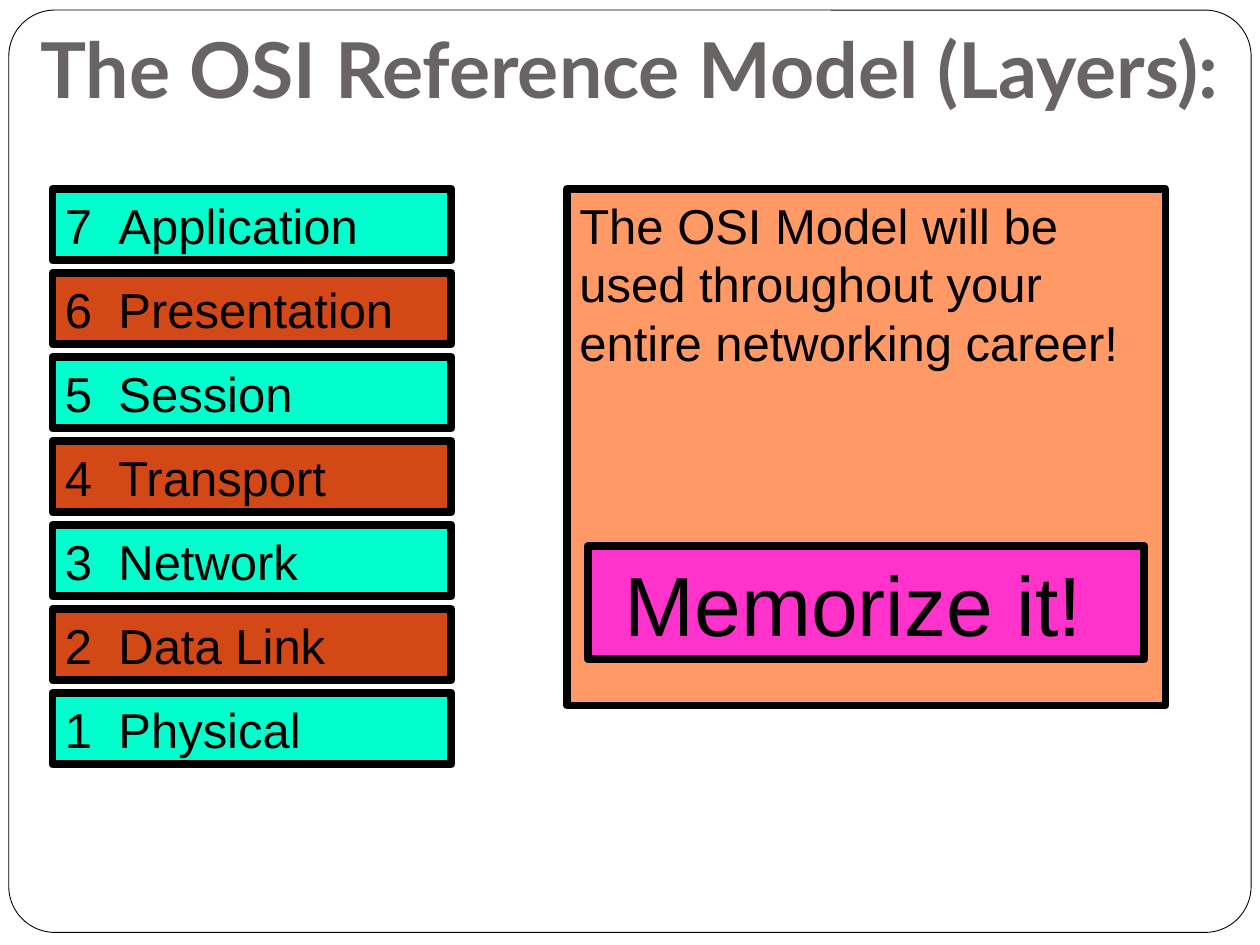
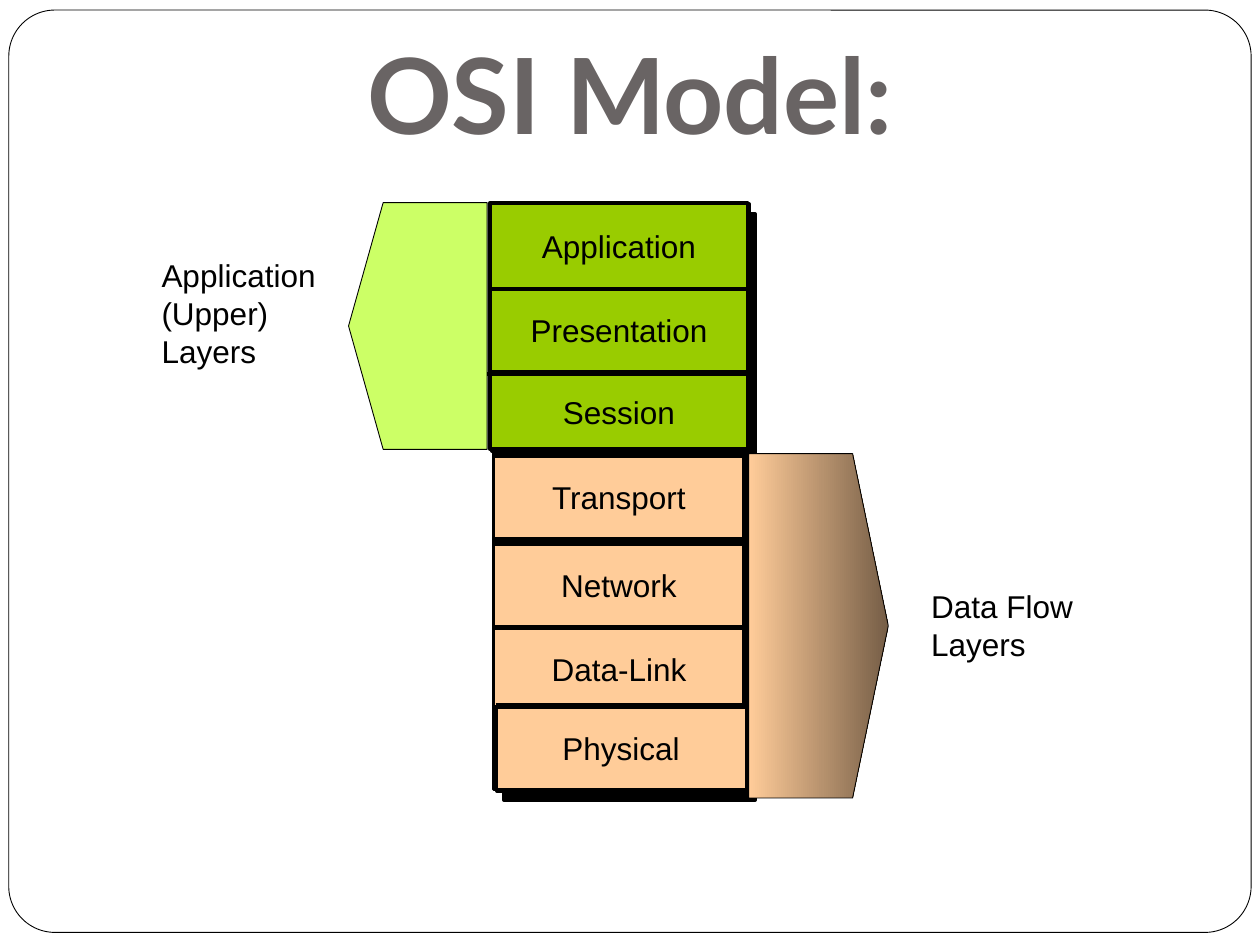
"""Build two slides on the layers of the OSI reference model."""
from dataclasses import dataclass

from lxml import etree
from pptx import Presentation
from pptx.dml.color import RGBColor
from pptx.enum.shapes import MSO_CONNECTOR, MSO_SHAPE
from pptx.enum.text import MSO_ANCHOR, PP_ALIGN
from pptx.oxml.ns import qn
from pptx.util import Inches, Pt

RECT, ROUND = MSO_SHAPE.RECTANGLE, MSO_SHAPE.ROUNDED_RECTANGLE
LEFT, CENTER = PP_ALIGN.LEFT, PP_ALIGN.CENTER
TOP, MIDDLE, BOTTOM = MSO_ANCHOR.TOP, MSO_ANCHOR.MIDDLE, MSO_ANCHOR.BOTTOM


@dataclass(frozen=True)
class Theme:
    head_font: str = "Lato"
    body_font: str = "Arial"
    title: str = "696464"
    ink: str = "000000"
    paper: str = "FFFFFF"
    mint: str = "00FFCC"
    rust: str = "D34817"
    coral: str = "FF9966"
    pink: str = "FF33CC"
    sky: str = "B0DEF5"
    peach: str = "FFCC99"
    brown: str = "765E47"
    green: str = "99CC00"
    lime: str = "CCFF66"
    label_pt: int = 18
    layer_pt: int = 28
    shout_pt: int = 48
    hair: float = 0.5
    rule: float = 2.25
    heavy: float = 4.5


T = Theme()
prs = Presentation()
prs.slide_width, prs.slide_height = Inches(10), Inches(7.5)
COLS = 120
U = prs.slide_width // COLS


def add_box(s, at, fill=None, weight=T.hair, kind=RECT, shadow=0):
    """Place a box on the grid; without a fill it is a text box."""
    x, y, w, h = (round(n * U) for n in at)
    if fill is None:
        return s.shapes.add_textbox(x, y, w, h)
    sp = s.shapes.add_shape(kind, x, y, w, h)
    sp.fill.solid()
    sp.fill.fore_color.rgb = RGBColor.from_string(fill)
    sp.line.color.rgb = RGBColor.from_string(T.ink)
    sp.line.width = Pt(weight)
    sp.shadow.inherit = False
    if shadow:
        effects = sp._element.spPr.find(qn("a:effectLst"))
        outer = etree.SubElement(effects, qn("a:outerShdw"), dist=str(Pt(shadow)),
                                 dir="2700000", algn="ctr", rotWithShape="0")
        etree.SubElement(outer, qn("a:srgbClr"), val=T.ink)
    return sp


def write(sp, lines, size, align=LEFT, anchor=TOP, font=T.body_font,
          color=T.ink, bold=False, wrap=True, tab=0):
    """Fill a box with one paragraph per line."""
    tf = sp.text_frame
    tf.word_wrap, tf.vertical_anchor = wrap, anchor
    for i, line in enumerate(lines):
        p = tf.add_paragraph() if i else tf.paragraphs[0]
        p.alignment = align
        if tab:
            tabs = etree.SubElement(p._p.get_or_add_pPr(), qn("a:tabLst"))
            etree.SubElement(tabs, qn("a:tab"), pos=str(round(tab * U)), algn="l")
        r = p.add_run()
        r.text = line
        r.font.name, r.font.size, r.font.bold = font, Pt(size), bold
        r.font.color.rgb = RGBColor.from_string(color)
    return tf


titles = [
    ("The OSI Reference Model (Layers):", (0, 2, 120, 10), 44),
    ("OSI Model:", (9, 3, 102, 13), 60),
]
for title, at, size in titles:
    s = prs.slides.add_slide(prs.slide_layouts[6])
    frame = add_box(s, (0.84, 0.96, 118.32, 87.84), T.paper, kind=ROUND)
    frame.adjustments[0] = 0.05
    tf = write(add_box(s, at), [title], size, CENTER, BOTTOM, T.head_font, T.title, True)
    tf.margin_bottom = Inches(0.1)

layers_slide, model_slide = prs.slides

s = layers_slide
names = ["Application", "Presentation", "Session", "Transport", "Network",
         "Data Link", "Physical"]
for i, name in enumerate(names):
    sp = add_box(s, (5, 18 + 8 * i, 38, 6.8), (T.mint, T.rust)[i % 2], T.heavy)
    write(sp, [f"{len(names) - i}\t{name}"], T.layer_pt, tab=5.1)

sp = add_box(s, (54, 18, 57, 49.2), T.coral, T.heavy)
write(sp, ["The OSI Model will be used throughout your entire networking career!"],
      T.layer_pt)
sp = add_box(s, (56, 52, 53, 10.8), T.pink, T.heavy)
write(sp, ["Memorize it!"], T.shout_pt).margin_left = Inches(0.29)

s = model_slide
add_box(s, (47, 19.4, 23.9, 55.8), T.sky, T.rule, shadow=8.5)
blocks = [
    ("Application", 46.7, 19.3, 24.5, 8.2, T.green),
    ("Presentation", 46.7, 27.5, 24.5, 7.9, T.green),
    ("Session", 46.7, 35.6, 24.5, 7.2, T.green),
    ("Transport", 47, 43.4, 23.9, 7.9, T.peach),
    ("Network", 47, 51.8, 23.9, 7.9, T.peach),
    ("Data-Link", 47, 59.8, 23.9, 7.9, T.peach),
    ("Physical", 47.2, 67.3, 23.9, 7.9, T.peach),
]
for name, x, y, w, h, fill in blocks:
    sp = add_box(s, (x, y, w, h), fill, T.rule, shadow=1.4)
    write(sp, [name], T.label_pt, CENTER, MIDDLE, wrap=False)

arrows = [
    (46.4, 36.5, 33.2, 19.3, 42.8, (T.lime,)),
    (71.3, 81.2, 84.6, 43.2, 76, (T.peach, T.brown)),
]
for base, shoulder, tip, top, bottom, colors in arrows:
    fb = s.shapes.build_freeform(round(base * U), round(top * U))
    points = [(shoulder, top), (tip, (top + bottom) / 2), (shoulder, bottom), (base, bottom)]
    fb.add_line_segments([(round(x * U), round(y * U)) for x, y in points], close=True)
    sp = fb.convert_to_shape()
    sp.shadow.inherit = False
    sp.line.color.rgb = RGBColor.from_string(T.ink)
    sp.line.width = Pt(T.hair)
    if len(colors) == 1:
        sp.fill.solid()
        sp.fill.fore_color.rgb = RGBColor.from_string(colors[0])
    else:
        sp.fill.gradient()
        sp.fill.gradient_angle = 0
        for stop, color in zip(sp.fill.gradient_stops, colors):
            stop.color.rgb = RGBColor.from_string(color)

for x, y in [(46.4, 35.6), (47, 43.2), (47, 51.6), (47.2, 67.1), (47.3, 75.2)]:
    y = round(y * U)
    ln = s.shapes.add_connector(MSO_CONNECTOR.STRAIGHT, round(x * U), y,
                                round((x + 24) * U), y)
    ln.line.color.rgb = RGBColor.from_string(T.ink)
    ln.line.width = Pt(T.rule)
    etree.SubElement(ln._element.spPr, qn("a:effectLst"))

sides = [
    (["Application", "(Upper)", "Layers"], (14.2, 23.8, 17.9, 12)),
    (["Data Flow", "Layers"], (87.5, 55.3, 16.7, 8.4)),
]
for lines, at in sides:
    write(add_box(s, at), lines, T.label_pt, wrap=False)

prs.save("out.pptx")
